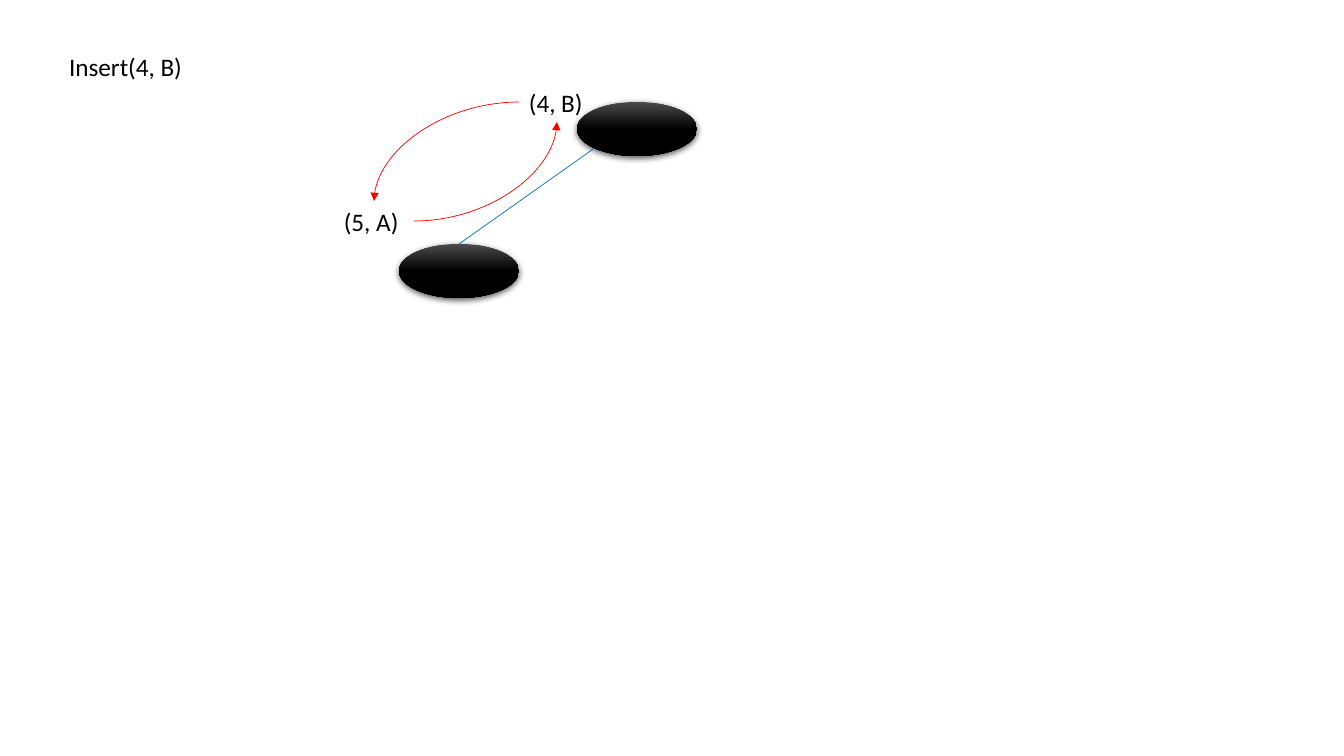
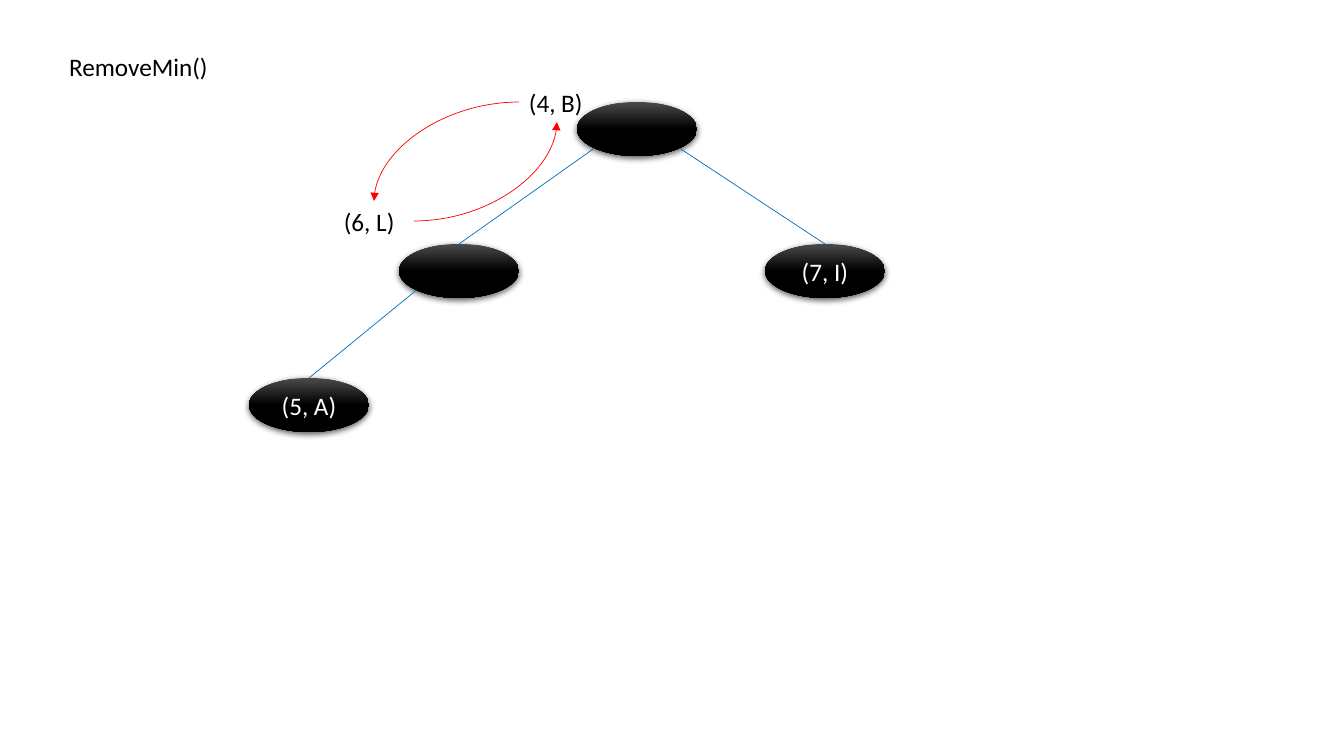
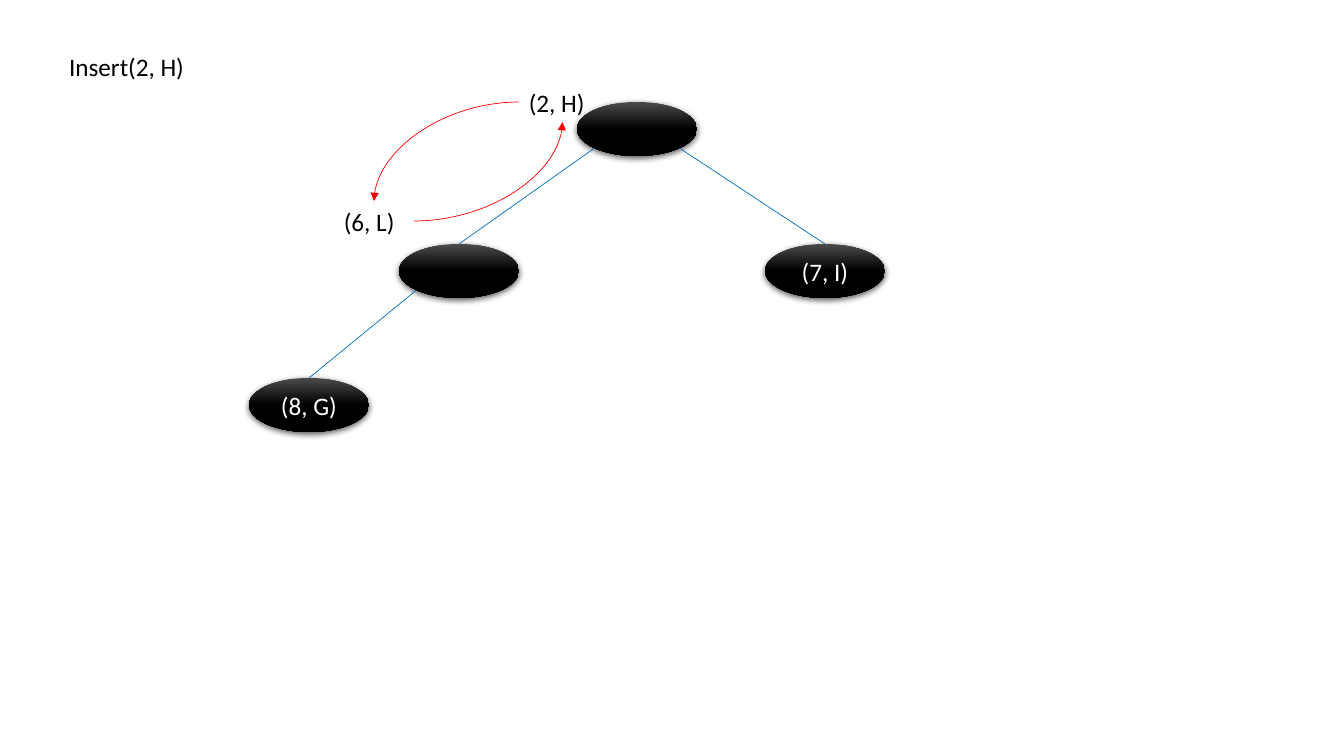
from copy import deepcopy
from math import sqrt

from pptx import Presentation
from pptx.dml.color import RGBColor
from pptx.enum.shapes import MSO_CONNECTOR, MSO_SHAPE
from pptx.enum.text import MSO_ANCHOR, MSO_AUTO_SIZE, PP_ALIGN
from pptx.oxml import parse_xml
from pptx.oxml.ns import nsdecls, qn
from pptx.util import Pt

INK, PAPER, EDGE, SWAP = "000000", "FFFFFF", "0070C0", "FF0000"
GLOSS = [(0, "4B4B4B"), (0.5, INK), (1, INK)]
WIDE, HIGH = 120, 54
LINE = 40
ROOT, LEFT, RIGHT, LEAF = (577, 102), (399, 244), (765, 244), (249, 378)
SHADOW = (
    f'<a:outerShdw {nsdecls("a")} blurRad="57150" dist="19050" dir="5400000"'
    ' algn="ctr" rotWithShape="0"><a:srgbClr val="000000">'
    '<a:alpha val="63000"/></a:srgbClr></a:outerShdw>'
)


def px(size):
    return round(size * 63500 / 7)


def tint(code):
    return RGBColor.from_string(code)


class Heap:
    """Draws heap steps on the slides of one deck."""

    def __init__(self):
        self.deck = Presentation()
        self.deck.slide_width, self.deck.slide_height = px(1344), px(756)

    def start(self, text, wide):
        self.slide = self.deck.slides.add_slide(self.deck.slide_layouts[5])
        title = self.slide.shapes.title
        title.left, title.top = px(59), px(46)
        title.width, title.height = px(wide), px(LINE)
        self.letter(title, text)

    def letter(self, shape, text, color=INK, align=PP_ALIGN.LEFT):
        frame = shape.text_frame
        frame.text = text
        frame.word_wrap = True
        if color == INK:
            frame.auto_size = MSO_AUTO_SIZE.SHAPE_TO_FIT_TEXT
            frame.vertical_anchor = MSO_ANCHOR.TOP
        else:
            frame.vertical_anchor = MSO_ANCHOR.MIDDLE
        para = frame.paragraphs[0]
        para.alignment = align
        para.font.name, para.font.size = "Calibri", Pt(18)
        para.font.color.rgb = tint(color)

    def label(self, text, x, y, wide):
        box = self.slide.shapes.add_textbox(px(x), px(y), px(wide), px(LINE))
        self.letter(box, text)

    def node(self, spot, text=""):
        x, y = spot
        oval = self.slide.shapes.add_shape(
            MSO_SHAPE.OVAL, px(x), px(y), px(WIDE), px(HIGH))
        oval.fill.gradient()
        oval.fill.gradient_angle = 270
        last = oval.element.xpath(".//a:gs")[-1]
        last.addnext(deepcopy(last))
        for stop, (place, color) in zip(oval.fill.gradient_stops, GLOSS):
            stop.position, stop.color.rgb = place, tint(color)
        oval.line.fill.background()
        oval.shadow.inherit = False
        oval.element.spPr.find(qn("a:effectLst")).append(parse_xml(SHADOW))
        if text:
            self.letter(oval, text, PAPER, PP_ALIGN.CENTER)

    def link(self, kind, start, end, color):
        line = self.slide.shapes.add_connector(
            kind, *map(px, start), *map(px, end))
        line.line.color.rgb = tint(color)
        line.line.width = Pt(0.5)
        line.element.spPr.append(parse_xml(f'<a:effectLst {nsdecls("a")}/>'))
        return line

    def edge(self, top, low):
        side = 1 if low[0] > top[0] else -1
        start = (top[0] + WIDE / 2 + side * WIDE / sqrt(8),
                 top[1] + HIGH / 2 + HIGH / sqrt(8))
        self.link(MSO_CONNECTOR.STRAIGHT, start, (low[0] + WIDE / 2, low[1]), EDGE)

    def arrow(self, start, end):
        curve = self.link(MSO_CONNECTOR.CURVE, start, end, SWAP)
        props = curve.element.spPr
        props.find(qn("a:prstGeom")).set("prst", "curvedConnector2")
        if end[0] < start[0]:
            form = props.find(qn("a:xfrm"))
            form.attrib.pop("flipH")
            form.set("rot", "10800000")
            form.set("flipV", "1")
        props.find(qn("a:ln")).append(
            parse_xml(f'<a:tailEnd {nsdecls("a")} type="triangle"/>'))

    def swap(self, high, wide, low):
        x, y, left, base, span = 519, 82, 334, 201, 80
        self.label(low, left, base, span)
        self.label(high, x, y, wide)
        self.arrow((x, y + LINE / 2), (left + span / 2, base))
        self.arrow((left + span, base + LINE / 2), (x + wide / 2, y + LINE))


STEPS = [
    ("Insert(4, B)", 134, "(4, B)", 76, "(5, A)", ""),
    ("RemoveMin()", 165, "(4, B)", 76, "(6, L)", "(5, A)"),
    ("Insert(2, H)", 147, "(2, H)", 87, "(6, L)", "(8, G)"),
]

heap = Heap()
for title, span, high, wide, low, leaf in STEPS:
    heap.start(title, span)
    heap.node(ROOT)
    heap.node(LEFT)
    heap.edge(ROOT, LEFT)
    if leaf:
        heap.node(RIGHT, "(7, I)")
        heap.edge(ROOT, RIGHT)
        heap.node(LEAF, leaf)
        heap.edge(LEFT, LEAF)
    heap.swap(high, wide, low)
heap.deck.save("out.pptx")
